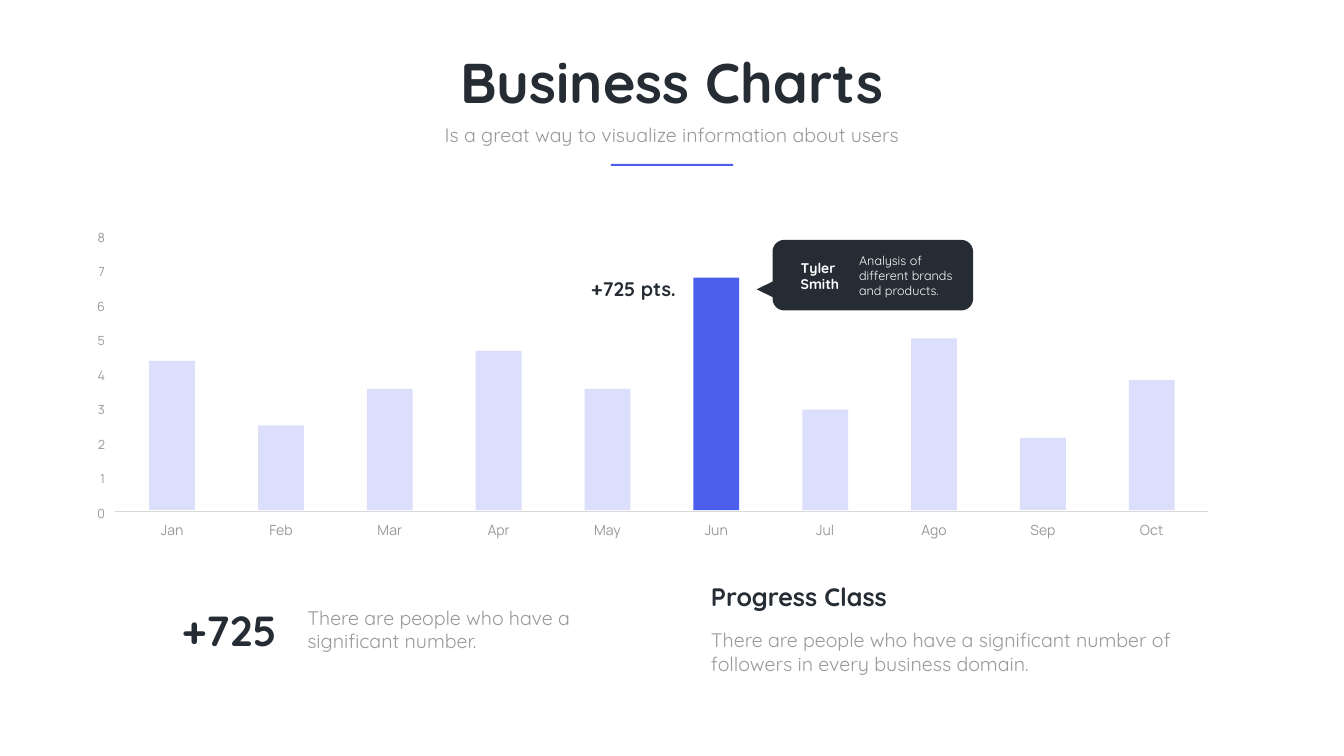
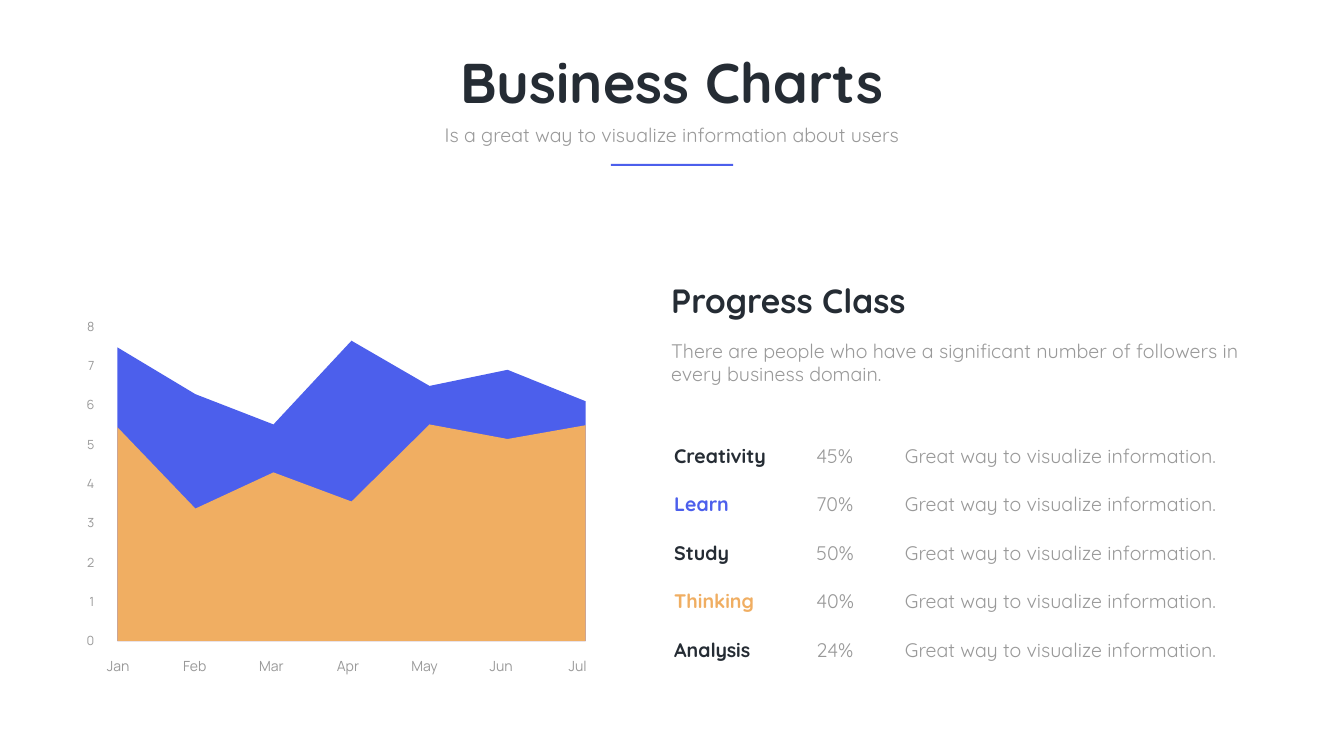
import pptx
import pptx.util
import pptx.dml.color
import pptx.enum.shapes
import pptx.enum.text
from dataclasses import dataclass
from lxml import etree

Inches = pptx.util.Inches
Pt = pptx.util.Pt
SHAPE = pptx.enum.shapes.MSO_SHAPE
ALIGN = pptx.enum.text.PP_ALIGN
DRAW_NS = "http://schemas.openxmlformats.org/drawingml/2006/main"


@dataclass(frozen=True)
class Theme:
    ink: str = "252C34"
    grey: str = "999999"
    blue: str = "4C5FEC"
    pale: str = "DBDFFB"
    gold: str = "F0AE62"
    rule: str = "D9D9D9"
    white: str = "FFFFFF"
    font: str = "Quicksand"
    digits: str = "Manrope"
    title: int = 80
    figure: int = 60
    head: int = 48
    subhead: int = 36
    body: int = 28
    label: int = 20
    small: int = 18
    axis_line: float = 35.6


T = Theme()

TITLE = "Business Charts"
SUBTITLE = "Is a great way to visualize information about users"
HEADING = "Progress Class"
SUMMARY = ("There are people who have a significant number of followers "
           "in every business domain.")

TOP_VALUE = 8
BARS = [("Jan", 4.32), ("Feb", 2.45), ("Mar", 3.51), ("Apr", 4.61),
        ("May", 3.51), ("Jun", 6.73), ("Jul", 2.91), ("Ago", 4.97),
        ("Sep", 2.09), ("Oct", 3.76)]
PEAK = "Jun"

MONTHS = ["Jan", "Feb", "Mar", "Apr", "May", "Jun", "Jul"]
AREAS = [
    (T.blue, [7.47, 6.28, 5.51, 7.64, 6.49, 6.9, 6.1]),
    (T.gold, [5.44, 3.37, 4.29, 3.55, 5.51, 5.14, 5.49]),
]

SKILLS = [
    ("Creativity", "45%", T.ink),
    ("Learn", "70%", T.blue),
    ("Study", "50%", T.ink),
    ("Thinking", "40%", T.gold),
    ("Analysis", "24%", T.ink),
]
SKILL_NOTE = "Great way to visualize information."


def rgb(code):
    return pptx.dml.color.RGBColor.from_string(code)


def paint(shape, color):
    shape.shadow.inherit = False
    shape.fill.solid()
    shape.fill.fore_color.rgb = rgb(color)
    shape.line.fill.background()
    return shape


def block(slide, kind, box, color):
    """Add a filled preset shape without outline."""
    return paint(slide.shapes.add_shape(kind, *map(Inches, box)), color)


def write(slide, box, text, size=T.body, color=T.grey, bold=False,
          align=ALIGN.LEFT, font=T.font, line=None):
    frame = slide.shapes.add_textbox(*map(Inches, box)).text_frame
    frame.word_wrap = True
    frame.auto_size = pptx.enum.text.MSO_AUTO_SIZE.SHAPE_TO_FIT_TEXT
    para = frame.paragraphs[0]
    para.alignment = align
    if line:
        para.line_spacing = Pt(line)
    run = para.add_run()
    run.text = text
    run.font.name = font
    run.font.size = Pt(size)
    run.font.bold = bold
    run.font.color.rgb = rgb(color)


def scale(slide, left, zero, step, height):
    """Number the value axis upwards from the box top at zero."""
    for value in range(TOP_VALUE + 1):
        write(slide, (left, zero - value * step, 0.59, height), str(value),
              T.small, align=ALIGN.RIGHT, font=T.digits, line=T.axis_line)


def months(slide, names, left, top, pitch):
    for i, name in enumerate(names):
        write(slide, (left + i * pitch, top, 1.21, 0.56), name, T.label,
              align=ALIGN.CENTER, font=T.digits, line=T.axis_line)


def start(deck):
    """Add a blank slide with the shared title."""
    slide = deck.slides.add_slide(deck.slide_layouts[6])
    write(slide, (6.88, 0.9, 12.91, 1.45), TITLE, T.title, T.ink, True,
          ALIGN.CENTER)
    write(slide, (8.55, 2.38, 9.56, 0.57), SUBTITLE, align=ALIGN.CENTER)
    block(slide, SHAPE.RECTANGLE, (12.12, 3.25, 2.43, 0.04), T.blue)
    return slide


def callout(slide):
    block(slide, SHAPE.ROUNDED_RECTANGLE, (15.33, 4.76, 3.98, 1.4), T.ink)
    tip = block(slide, SHAPE.ISOSCELES_TRIANGLE, (15.02, 5.57, 0.33, 0.34),
                T.ink)
    tip.rotation = 270
    write(slide, (15.79, 5.09, 0.98, 0.77), "Tyler Smith", T.label, T.white,
          True)
    write(slide, (16.95, 4.96, 2.14, 1.01),
          "Analysis of different brands and products.", T.small, T.white)


def bars(deck):
    slide = start(deck)
    base, unit, pitch = 10.12, 0.685, 2.16
    axis = slide.shapes.add_connector(
        pptx.enum.shapes.MSO_CONNECTOR.STRAIGHT,
        Inches(2.28), Inches(10.14), Inches(23.98), Inches(10.14))
    axis.line.color.rgb = rgb(T.rule)
    axis.line.width = Pt(1)
    etree.SubElement(axis._element.spPr, f"{{{DRAW_NS}}}effectLst")

    for i, (name, value) in enumerate(BARS):
        tall = value * unit
        block(slide, SHAPE.RECTANGLE,
              (2.96 + i * pitch, base - tall, 0.91, tall),
              T.blue if name == PEAK else T.pale)
    months(slide, [name for name, _ in BARS], 2.81, 10.14, pitch)
    scale(slide, 1.59, 9.79, unit, 0.56)

    write(slide, (10.68, 5.45, 2.83, 0.57), "+725 pts.", T.body, T.ink, True,
          ALIGN.RIGHT)
    callout(slide)
    write(slide, (3.51, 11.94, 2.44, 1.11), "+725", T.figure, T.ink, True)
    write(slide, (6, 11.97, 5.65, 1.04),
          "There are people who have a significant number.")
    write(slide, (14.01, 11.48, 6.3, 0.71), HEADING, T.subhead, T.ink, True)
    write(slide, (14.01, 12.41, 9.57, 1.04), SUMMARY)


def areas(deck):
    slide = start(deck)
    left, base, width, unit = 2.33, 12.72, 9.29, 0.78
    pitch = width / (len(MONTHS) - 1)
    for color, values in AREAS:
        edge = [(left + i * pitch, base - value * unit)
                for i, value in enumerate(values)]
        edge.append((left + width, base))
        pen = slide.shapes.build_freeform(Inches(left), Inches(base))
        pen.add_line_segments([(Inches(x), Inches(y)) for x, y in edge])
        paint(pen.convert_to_shape(), color)
    months(slide, MONTHS, 1.74, 12.83, 1.52)
    scale(slide, 1.38, 12.32, unit, 0.63)

    write(slide, (13.22, 5.5, 6.3, 0.91), HEADING, T.head, T.ink, True)
    write(slide, (13.22, 6.67, 11.65, 1.04), SUMMARY)
    for i, (name, share, color) in enumerate(SKILLS):
        top = 8.76 + i * 0.96
        write(slide, (13.28, top, 2.93, 0.57), name, T.body, color, True)
        write(slide, (16.1, top, 1.64, 0.57), share)
        write(slide, (17.86, top, 6.72, 0.57), SKILL_NOTE)


def main():
    deck = pptx.Presentation()
    deck.slide_width = Inches(26.67)
    deck.slide_height = Inches(15)
    bars(deck)
    areas(deck)
    deck.save("out.pptx")


if __name__ == "__main__":
    main()
